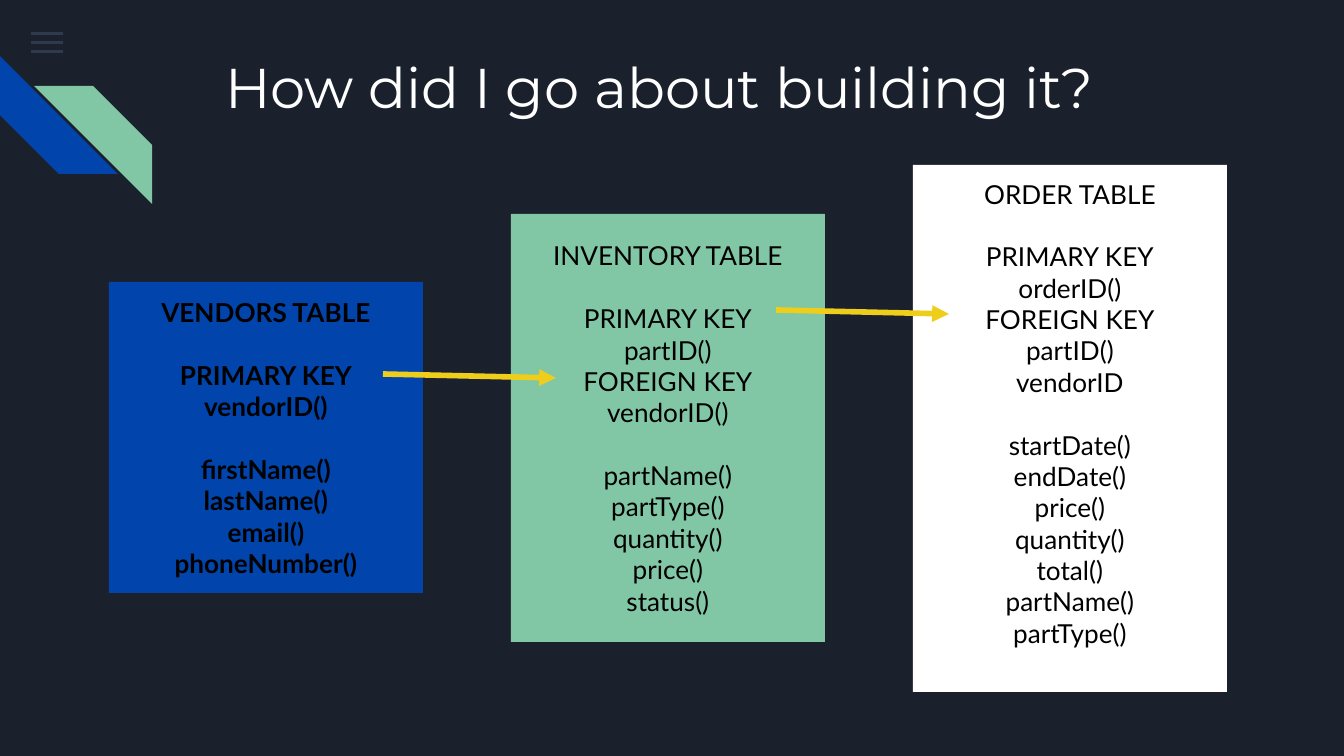
from dataclasses import dataclass

from lxml.etree import SubElement
from pptx import Presentation
from pptx.dml.color import RGBColor
from pptx.enum.shapes import MSO_CONNECTOR, MSO_SHAPE
from pptx.enum.text import MSO_ANCHOR, MSO_AUTO_SIZE, PP_ALIGN
from pptx.oxml.ns import qn
from pptx.util import Pt

SCALE = 914400 / 134.4  # EMU in one px


@dataclass(frozen=True)
class Theme:
    back: str = "1B212C"
    blue: str = "0145AC"
    green: str = "82C7A5"
    white: str = "FFFFFF"
    black: str = "000000"
    gold: str = "EECE1A"
    slate: str = "55688B"
    head: str = "Montserrat"
    body: str = "Lato"
    large: int = 30
    small: int = 14
    gap: float = 16.8  # one line of body text
    stroke: int = 3


THEME = Theme()


def px(*nums):
    return [round(num * SCALE) for num in nums]


def rgb(code):
    return RGBColor.from_string(code)


def style(font, name, size, color, bold=False):
    font.name, font.size, font.bold = name, Pt(size), bold
    font.color.rgb = rgb(color)


def block(slide, kind, box, color):
    """Plain filled shape without line or shadow."""
    shape = slide.shapes.add_shape(kind, *px(*box))
    shape.shadow.inherit = False
    shape.fill.solid()
    shape.fill.fore_color.rgb = rgb(color)
    shape.line.fill.background()
    return shape


def menu(slide, box):
    """Three faint bars."""
    left, top, width, step = box
    for row in range(3):
        bar = block(slide, MSO_SHAPE.RECTANGLE,
                    (left, top + row * step, width, 3), THEME.slate)
        fill = bar.fill.fore_color._xFill.find(qn("a:srgbClr"))
        SubElement(fill, qn("a:alpha"), val="36000")


def stripes(slide, box):
    """Two facing diagonal stripes in the corner."""
    left, top, side = box
    for x, y, turn, color in ((0, 0, 270, THEME.blue), (34, 30, 90, THEME.green)):
        stripe = block(slide, MSO_SHAPE.DIAGONAL_STRIPE,
                       (left + x, top + y, side, side), color)
        stripe.rotation = turn


def title(slide, box, text):
    """Slide title in the template's placeholder."""
    shape = slide.shapes.title
    shape.left, shape.top, shape.width, shape.height = px(*box)
    frame = shape.text_frame
    frame.text = text
    frame.auto_size = MSO_AUTO_SIZE.NONE
    frame.vertical_anchor = MSO_ANCHOR.TOP
    frame.margin_left = frame.margin_right = frame.margin_top = frame.margin_bottom = px(13)[0]
    para = frame.paragraphs[0]
    para.alignment = PP_ALIGN.LEFT
    style(para.font, THEME.head, THEME.large, THEME.white)


def card(slide, box, color, groups, anchor=MSO_ANCHOR.MIDDLE, bold=False):
    """Database table: groups of centred lines, one line apart."""
    frame = block(slide, MSO_SHAPE.RECTANGLE, box, color).text_frame
    frame.word_wrap = True
    frame.vertical_anchor = anchor
    frame.margin_left = frame.margin_right = frame.margin_top = frame.margin_bottom = px(13)[0]
    para = frame.paragraphs[0]
    for part, group in enumerate(groups):
        for row, text in enumerate(group.split()if part else [group]):
            if part or row:
                para = frame.add_paragraph()
            if part and not row:
                para.space_before = Pt(THEME.gap)
            para.text = text.replace("_", " ")
            para.alignment = PP_ALIGN.CENTER
            style(para.font, THEME.body, THEME.small, THEME.black, bold)


def arrow(slide, box):
    """Link from a primary key to a foreign key."""
    left, top, width, drop = box
    line = slide.shapes.add_connector(
        MSO_CONNECTOR.STRAIGHT, *px(left, top, left + width, top + drop))
    line.line.color.rgb = rgb(THEME.gold)
    line.line.width = Pt(THEME.stroke)
    SubElement(line.line._get_or_add_ln(), qn("a:tailEnd"), type="triangle")
    SubElement(line._element.spPr, qn("a:effectLst"))


def main():
    deck = Presentation()
    deck.slide_width, deck.slide_height = px(1344, 756)
    slide = deck.slides.add_slide(deck.slide_layouts[5])
    slide.background.fill.solid()
    slide.background.fill.fore_color.rgb = rgb(THEME.back)

    # Corner decoration and title
    menu(slide, (31, 32, 32, 9))
    stripes(slide, (0, 56, 118))
    title(slide, (212, 40, 1035, 86), "How did I go about building it?")

    # Database tables, an underscore standing for a space within a line
    left, step, width = 109, 402, 314
    card(slide, (left, 282, width, 311), THEME.blue, (
        "VENDORS TABLE",
        "PRIMARY_KEY vendorID()",
        "firstName() lastName() email() phoneNumber()"), bold=True)
    card(slide, (left + step, 214, width, 428), THEME.green, (
        "INVENTORY TABLE",
        "PRIMARY_KEY partID() FOREIGN_KEY vendorID()",
        "partName() partType() quantity() price() status()"))
    card(slide, (left + 2 * step, 165, width, 527), THEME.white, (
        "ORDER TABLE",
        "PRIMARY_KEY orderID() FOREIGN_KEY partID() vendorID",
        "startDate() endDate() price() quantity() total() partName() partType()"),
        anchor=MSO_ANCHOR.TOP)

    # Key links
    for x, y in ((383, 374), (776, 310)):
        arrow(slide, (x, y, 173, 4))

    deck.save("out.pptx")


if __name__ == "__main__":
    main()
